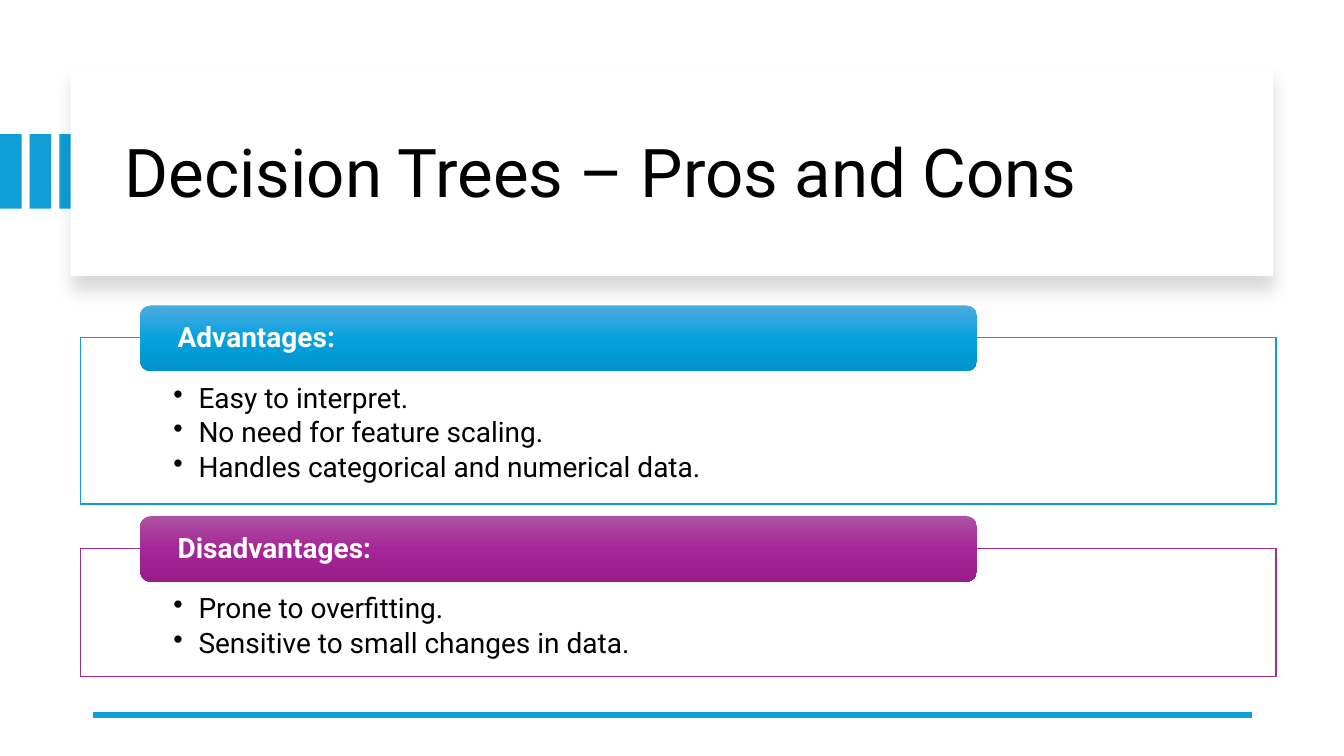
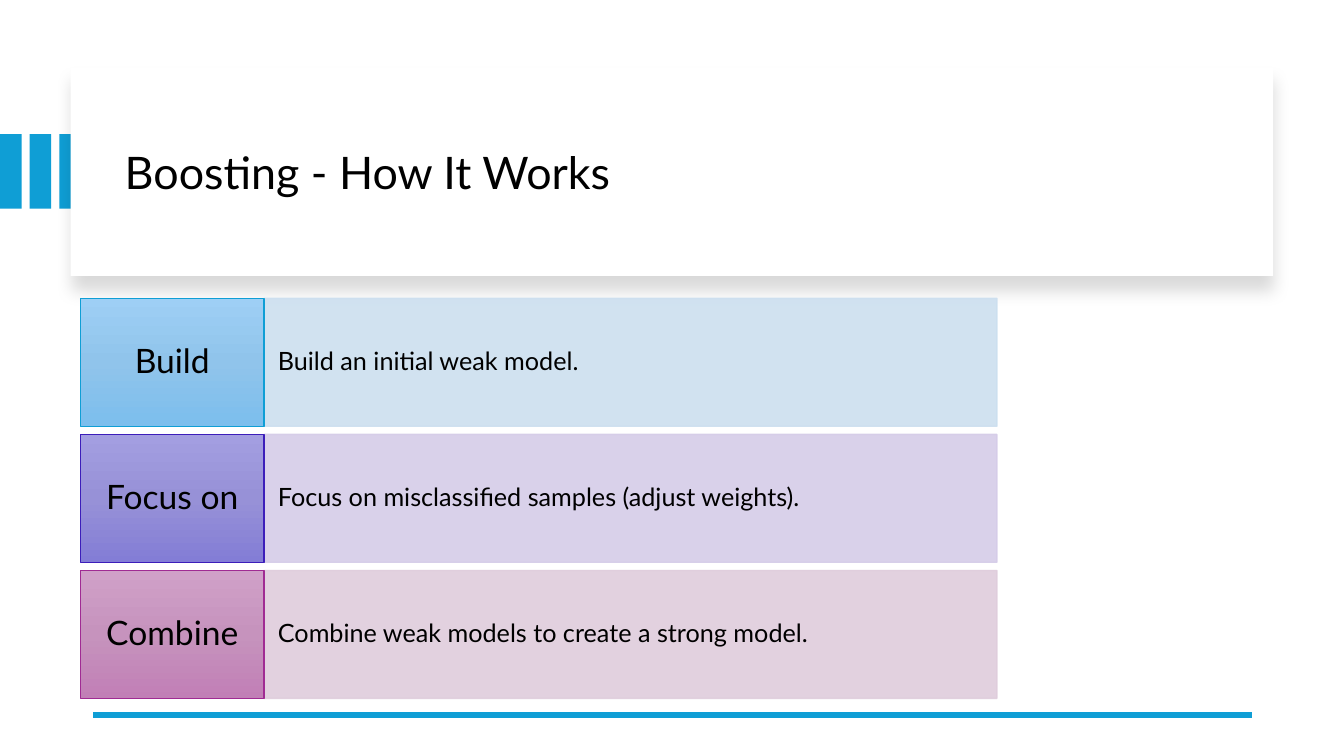
"""Build two slides that share a striped title card and a base rule."""
import copy

from lxml import etree
from pptx import Presentation
from pptx import util as u
from pptx.dml.color import RGBColor
from pptx.enum import shapes, text
from pptx.oxml import ns

WHITE, BLACK, BLUE, INDIGO, PURPLE = "FFFFFF", "000000", "0F9ED5", "3C1EBA", "A02B93"
RECTANGLE = shapes.MSO_SHAPE.RECTANGLE
ROUNDED = shapes.MSO_SHAPE.ROUNDED_RECTANGLE
CENTER = text.PP_ALIGN.CENTER
MIDDLE = text.MSO_ANCHOR.MIDDLE
TOP = text.MSO_ANCHOR.TOP

LEFT = 57.6
PANELS = [
    (241.2, 118.8, BLUE, ("4CAADF", "05A2DF", "0092CB"), "Advantages:",
     ["Easy to interpret.", "No need for feature scaling.",
      "Handles categorical and numerical data."]),
    (391.7, 91.4, PURPLE, ("AC53A0", "A62598", "991C8B"), "Disadvantages:",
     ["Prone to overfitting.", "Sensitive to small changes in data."]),
]
STEPS = [
    ("Build", "Build an initial weak model.",
     BLUE, ("9ECFF5", "90C4EB", "7CBEED"), "CCDFEF"),
    ("Focus on", "Focus on misclassified samples (adjust weights).",
     INDIGO, ("A39EE1", "9791D7", "837DD6"), "D5CCE8"),
    ("Combine", "Combine weak models to create a strong model.",
     PURPLE, ("D0A0C8", "C693BD", "C17FB6"), "DFCDDC"),
]


def color(value):
    """Turn a hex string into a colour."""
    return RGBColor.from_string(value)


def child(parent, tag, **attributes):
    """Append a drawing element to a parent and return it."""
    element = etree.SubElement(parent, ns.qn(tag))
    for name, value in attributes.items():
        element.set(name, str(value))
    return element


def add_box(slide, box, fill, line=None, kind=RECTANGLE):
    """Draw a shape with a solid fill, or a vertical gradient for a tuple."""
    shape = slide.shapes.add_shape(kind, *map(u.Pt, box))
    shape.shadow.inherit = False
    if isinstance(fill, tuple):
        shape.fill.gradient()
        shape.fill.gradient_angle = 270
        stops = shape._element.spPr.find(".//" + ns.qn("a:gsLst"))
        stops.insert(1, copy.deepcopy(stops[0]))
        for index, (stop, value) in enumerate(zip(shape.fill.gradient_stops, fill)):
            stop.position = index / (len(fill) - 1)
            stop.color.rgb = color(value)
    else:
        shape.fill.solid()
        shape.fill.fore_color.rgb = color(fill)
    if line:
        shape.line.color.rgb = color(line)
        shape.line.width = u.Pt(1)
    else:
        shape.line.fill.background()
    return shape


def fade(shape, percent):
    """Make the fill and line of a shape partly transparent."""
    for value in shape._element.spPr.iter(ns.qn("a:srgbClr")):
        child(value, "a:alpha", val=percent * 1000)


def write(shape, lines, size, font, ink=BLACK, bold=False, align=text.PP_ALIGN.LEFT,
          anchor=MIDDLE, insets=(7.2, 3.6, 7.2, 3.6), bullets=False):
    """Fill a shape with paragraphs in one style."""
    frame = shape.text_frame
    frame.word_wrap = True
    frame.vertical_anchor = anchor
    (frame.margin_left, frame.margin_top,
     frame.margin_right, frame.margin_bottom) = map(u.Pt, insets)
    for index, line in enumerate(lines):
        paragraph = frame.add_paragraph() if index else frame.paragraphs[0]
        paragraph.alignment = align
        paragraph.line_spacing = 0.9
        if bullets:
            paragraph.space_after = u.Pt(size * 0.15)
            properties = paragraph._p.get_or_add_pPr()
            properties.set("marL", str(u.Pt(18)))
            properties.set("indent", str(u.Pt(-18)))
            child(properties, "a:buChar", char="•")
        run = paragraph.add_run()
        run.text = line
        run.font.size = u.Pt(size)
        run.font.name = font
        run.font.bold = bold
        run.font.color.rgb = color(ink)


def add_frame(presentation, title, size, font):
    """Add a slide with stripes, shadowed title card, title and base rule."""
    slide = presentation.slides.add_slide(presentation.slide_layouts[6])
    for index in range(3):
        add_box(slide, (index * 21.2, 95.8, 15.4, 53.3), BLUE)
    card = add_box(slide, (50.4, 48.2, 859, 149), WHITE)
    effects = card._element.spPr.find(ns.qn("a:effectLst"))
    shadow = child(effects, "a:outerShdw", blurRad=u.Pt(11), dist=u.Pt(10),
                   dir=90 * 60000, algn="t", rotWithShape=0)
    child(child(shadow, "a:srgbClr", val=BLACK), "a:alpha", val=15000)
    heading = slide.shapes.add_textbox(*map(u.Pt, (82, 64, 801.4, 122.4)))
    write(heading, [title], size, font)
    rule = slide.shapes.add_connector(
        shapes.MSO_CONNECTOR.STRAIGHT, *map(u.Pt, (894.2, 510.5, 66.2, 510.5)))
    rule.line.color.rgb = color(BLUE)
    rule.line.width = u.Pt(4.5)
    child(rule._element.spPr, "a:effectLst")
    return slide


def add_panel(slide, box, line, gradient, heading, points):
    """Draw an outlined list with a heading tab across its top edge."""
    left, top, width, height = box
    panel = add_box(slide, box, WHITE, line)
    write(panel, points, 20, "Roboto", anchor=TOP,
          insets=(66.2, 33.1, 66.2, 11.5), bullets=True)
    tab = add_box(slide, (left + 42.5, top - 23, width * 0.7, 46.8), gradient, kind=ROUNDED)
    write(tab, [heading], 20, "Roboto", WHITE, bold=True, insets=(24.5, 0, 24.5, 0))


def add_step(slide, box, label, detail, line, gradient, tint):
    """Draw a label tile with its explanation to the right."""
    left, top, width, height = box
    tile_width = width * 0.2
    band = add_box(slide, (left + tile_width, top, width - tile_width, height), tint, tint)
    fade(band, 90)
    write(band, [detail], 18, "Lato", insets=(10, 23, 10, 23))
    tile = add_box(slide, (left, top, tile_width, height), gradient, line)
    write(tile, [label], 24, "Lato", align=CENTER, insets=(7.2, 9.4, 7.2, 9.4))


def build_pros_and_cons(presentation):
    """Build the slide with the two lists."""
    slide = add_frame(presentation, "Decision Trees – Pros and Cons", 48, "Roboto")
    for top, height, *content in PANELS:
        add_panel(slide, (LEFT, top, 854, height), *content)


def build_boosting(presentation):
    """Build the slide with the three steps."""
    slide = add_frame(presentation, "Boosting - How It Works", 32, "Lato")
    for index, step in enumerate(STEPS):
        add_step(slide, (LEFT, 213.1 + index * 97.2, 654.5, 91.4), *step)


def main():
    """Build and save the presentation."""
    presentation = Presentation()
    presentation.slide_width = u.Pt(960)
    presentation.slide_height = u.Pt(540)
    build_pros_and_cons(presentation)
    build_boosting(presentation)
    presentation.save("out.pptx")


if __name__ == "__main__":
    main()
